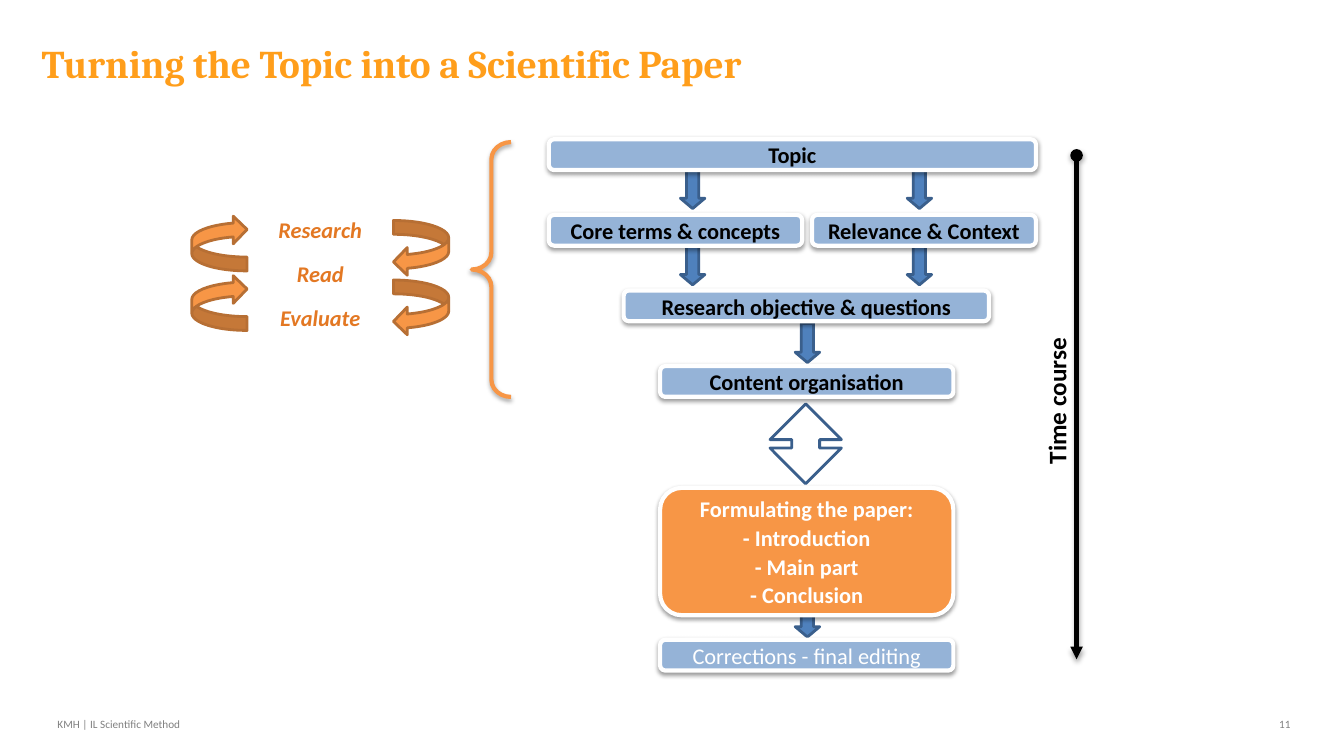
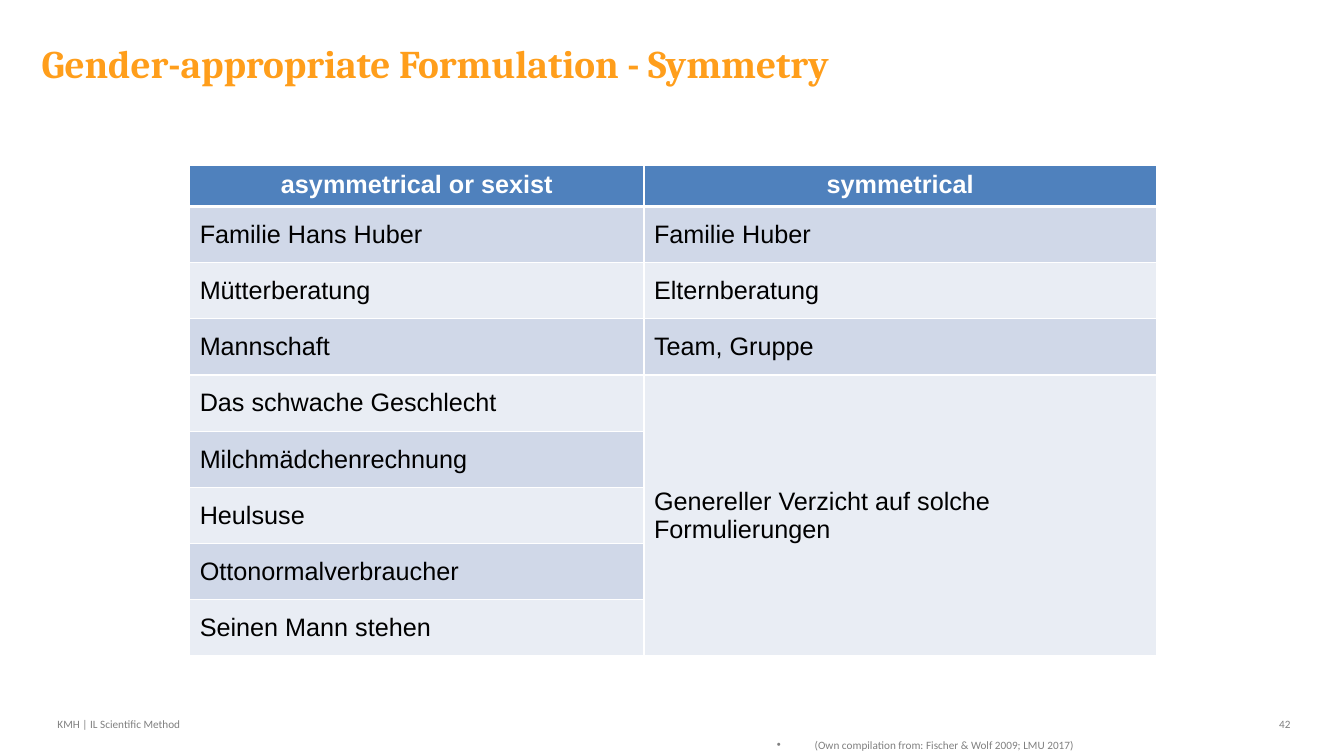
from dataclasses import dataclass

from lxml import etree
from pptx import Presentation
from pptx.dml.color import RGBColor
from pptx.enum.shapes import MSO_CONNECTOR, MSO_SHAPE
from pptx.enum.text import MSO_ANCHOR, MSO_AUTO_SIZE, PP_ALIGN
from pptx.oxml.ns import qn
from pptx.util import Pt

LEFT, CENTER, RIGHT = PP_ALIGN.LEFT, PP_ALIGN.CENTER, PP_ALIGN.RIGHT
TOP, MIDDLE = MSO_ANCHOR.TOP, MSO_ANCHOR.MIDDLE
NO_AUTOFIT = MSO_AUTO_SIZE.NONE
ROUNDED, BRACE = MSO_SHAPE.ROUNDED_RECTANGLE, MSO_SHAPE.LEFT_BRACE
DOWN, UP_DOWN = MSO_SHAPE.DOWN_ARROW, MSO_SHAPE.UP_DOWN_ARROW
CURVED = MSO_SHAPE.CURVED_DOWN_ARROW
STRAIGHT = MSO_CONNECTOR.STRAIGHT
TITLE_AND_CONTENT, TITLE_ONLY = 1, 5


@dataclass(frozen=True)
class Theme:
    """Colours, fonts and type sizes of the deck."""
    title: str = "FF9E1B"
    orange: str = "F79646"
    orange_edge: str = "B76F34"
    orange_text: str = "E37823"
    blue: str = "4F81BD"
    blue_edge: str = "3A5F8C"
    light_blue: str = "95B3D7"
    bands: tuple = ("D0D8E8", "E9EDF4")
    white: str = "FFFFFF"
    black: str = "000000"
    gray: str = "808080"
    title_font: str = "Cambria"
    body_font: str = "Calibri"
    table_font: str = "Arial"
    title_size: int = 28
    label_size: int = 18
    box_size: int = 16
    small_size: int = 8


def points(*lengths):
    """Turn numbers into point lengths."""
    return [Pt(n) for n in lengths]


class Deck:
    """Presentation with one style and a current slide."""

    def __init__(self, theme):
        """Open a blank wide presentation."""
        self.theme = theme
        self.prs = Presentation()
        self.prs.slide_width, self.prs.slide_height = points(960, 540)
        self.s = None

    def set_text(self, tf, text, size, color, font=None, bold=False, italic=False,
                 align=LEFT, anchor=TOP, gap=0, line=1.0):
        """Fill a text frame and format its paragraphs and runs."""
        tf.word_wrap = True
        tf.auto_size = NO_AUTOFIT
        tf.vertical_anchor = anchor
        tf.text = text
        for i, p in enumerate(tf.paragraphs):
            p.alignment = align
            p.line_spacing = line
            p.space_before = Pt(gap if i else 0)
            for r in p.runs:
                r.font.name = font or self.theme.body_font
                r.font.size = Pt(size)
                r.font.bold = bold
                r.font.italic = italic
                r.font.color.rgb = RGBColor.from_string(color)

    def slide(self, layout, title, number):
        """Start a slide with its title and footer."""
        t = self.theme
        self.s = self.prs.slides.add_slide(self.prs.slide_layouts[layout])
        sp = self.s.shapes.title
        self.place(sp, 22.5, 24.5, 875, 36)
        self.set_text(sp.text_frame, title, t.title_size, t.title,
                      t.title_font, bold=True)
        self.text("KMH | IL Scientific Method", 34, 508.5, 287.5, 17.5,
                  t.small_size, t.gray)
        self.text(str(number), 888.5, 508.5, 40.5, 17.5,
                  t.small_size, t.gray, align=RIGHT)

    def place(self, sp, x, y, w, h):
        """Move and size a shape."""
        sp.left, sp.top, sp.width, sp.height = points(x, y, w, h)

    def text(self, text, x, y, w, h, size, color, rotation=0, **style):
        """Add a text box."""
        sp = self.s.shapes.add_textbox(*points(x, y, w, h))
        sp.rotation = rotation
        self.set_text(sp.text_frame, text, size, color, **style)

    def source(self, text, x, y, w, h):
        """Use the body placeholder for a source line."""
        sp = self.s.placeholders[1]
        self.place(sp, x, y, w, h)
        pPr = sp.text_frame.paragraphs[0]._p.get_or_add_pPr()
        pPr.set("marL", "0")
        pPr.set("indent", "0")
        etree.SubElement(pPr, qn("a:buNone"))
        self.set_text(sp.text_frame, text, self.theme.small_size,
                      self.theme.gray, align=RIGHT, anchor=MIDDLE)

    def shade(self, effects, alpha, distance):
        """Add a soft shadow below to an effect list."""
        shadow = etree.SubElement(effects, qn("a:outerShdw"), {
            "blurRad": str(Pt(3.1)), "dist": str(Pt(distance)),
            "dir": "5400000", "rotWithShape": "0"})
        color = etree.SubElement(shadow, qn("a:srgbClr"), val=self.theme.black)
        etree.SubElement(color, qn("a:alpha"), val=str(alpha * 1000))

    def shape(self, kind, x, y, w, h, fill, edge, width=2, adjust=(), rotation=0):
        """Add a preset shape."""
        sp = self.s.shapes.add_shape(kind, *points(x, y, w, h))
        sp.shadow.inherit = False
        sp.rotation = rotation
        for i, value in enumerate(adjust):
            sp.adjustments[i] = value
        if fill:
            sp.fill.solid()
            sp.fill.fore_color.rgb = RGBColor.from_string(fill)
        else:
            sp.fill.background()
        sp.line.color.rgb = RGBColor.from_string(edge)
        sp.line.width = Pt(width)
        return sp

    def box(self, text, x, y, w, h=22, fill=None, color=None, bold=True):
        """Add a rounded box with a shadow and centred text."""
        t = self.theme
        sp = self.shape(ROUNDED, x, y, w, h, fill or t.light_blue, t.white, 3,
                        (0.17,))
        self.shade(sp._element.spPr.find(qn("a:effectLst")), 38, 1.6)
        tf = sp.text_frame
        tf.margin_top, tf.margin_bottom = points(3, 0)
        self.set_text(tf, text, t.box_size, color or t.black, bold=bold,
                      align=CENTER, anchor=MIDDLE, gap=3.2, line=0.9)

    def arrow(self, x, y, h=28):
        """Add a block arrow pointing down."""
        self.shape(DOWN, x, y, 17.5, h, self.theme.blue, self.theme.blue_edge,
                   adjust=(0.5, 0.42))

    def cycle_arrow(self, x, y, rotation):
        """Add a curved arrow of the research cycle."""
        self.shape(CURVED, x, y, 39.5, 39.5, self.theme.orange,
                   self.theme.orange_edge, rotation=rotation)

    def brace(self, x, y, w, h):
        """Add a left brace with a shadow."""
        sp = self.shape(BRACE, x, y, w, h, None, self.theme.orange, 3, (0.44, 0.5))
        self.shade(sp._element.spPr.find(qn("a:effectLst")), 35, 1.8)

    def timeline(self, x, top, bottom):
        """Add a vertical line from a dot to an arrowhead."""
        c = self.s.shapes.add_connector(STRAIGHT, *points(x, top, x, bottom))
        c.line.color.rgb = RGBColor.from_string(self.theme.black)
        c.line.width = Pt(3)
        spPr = c._element.spPr
        ln = spPr.find(qn("a:ln"))
        etree.SubElement(ln, qn("a:headEnd"), type="oval")
        etree.SubElement(ln, qn("a:tailEnd"), type="triangle")
        self.shade(etree.SubElement(spPr, qn("a:effectLst")), 35, 1.8)

    def border(self, cell, **widths):
        """Draw white cell borders of the given widths."""
        tcPr = cell._tc.get_or_add_tcPr()
        for side in ("L", "R", "T", "B"):
            ln = etree.SubElement(tcPr, qn(f"a:ln{side}"),
                                  w=str(Pt(widths.get(side, 1))))
            fill = etree.SubElement(ln, qn("a:solidFill"))
            etree.SubElement(fill, qn("a:srgbClr"), val=self.theme.white)

    def table(self, rows, x, y, widths, heights):
        """Add a banded table with a header row."""
        t = self.theme
        table = self.s.shapes.add_table(
            len(rows), len(widths),
            *points(x, y, sum(widths), sum(heights))).table
        for column, width in zip(table.columns, widths):
            column.width = Pt(width)
        for i, (values, height) in enumerate(zip(rows, heights)):
            table.rows[i].height = Pt(height)
            head = i == 0
            for j in range(len(widths)):
                cell = table.cell(i, j)
                self.border(cell, T=3 if i == 1 else 1, B=3 if head else 1)
                cell.fill.solid()
                cell.fill.fore_color.rgb = RGBColor.from_string(
                    t.blue if head else t.bands[(i - 1) % 2])
                if j < len(values):
                    self.set_text(cell.text_frame, values[j], t.label_size,
                                  t.white if head else t.black, t.table_font,
                                  bold=head, align=CENTER if head else LEFT)
                cell.vertical_anchor = TOP if head else MIDDLE
        return table


def topic_slide(deck):
    """Build the flow from topic to paper."""
    t = deck.theme
    deck.slide(TITLE_ONLY, "Turning the Topic into a Scientific Paper", 11)
    deck.brace(337, 101.5, 28, 182)
    for x in (486, 648):
        deck.arrow(x, 116, 33)
        deck.arrow(x, 175.5)
    for y in (231, 427):
        deck.arrow(568, y)
    deck.shape(UP_DOWN, 550, 288.5, 51, 57, None, t.blue_edge, adjust=(0.5, 0.39))
    steps = [
        ("Topic", 392, 0, 348),
        ("Core terms & concepts", 392, 1, 181),
        ("Relevance & Context", 580, 1, 160),
        ("Research objective & questions", 445.5, 2, 261),
        ("Content organisation", 471.5, 3, 209.5),
    ]
    for text, x, row, w in steps:
        deck.box(text, x, 99.5 + 54 * row, w)
    deck.box("Formulating the paper:\n- Introduction\n- Main part\n- Conclusion",
             471.5, 348.5, 209.5, 91, t.orange, t.white)
    deck.box("Corrections - final editing", 471.5, 457, 209.5,
             color=t.white, bold=False)
    deck.timeline(769, 111, 471)
    deck.text("Time course", 582, 272, 345.5, 29, t.label_size, t.black,
              rotation=270, bold=True, align=CENTER)
    deck.text("Research\nRead\nEvaluate", 170, 150.5, 117.5, 90.5, t.box_size,
              t.orange_text, bold=True, italic=True, align=CENTER, gap=12.5)
    for x, y, rotation in ((281, 157.5, 90), (137, 154, 270)):
        for row in range(2):
            deck.cycle_arrow(x, y + 42.5 * row, rotation)


def symmetry_slide(deck):
    """Build the table of gendered wordings."""
    deck.slide(TITLE_AND_CONTENT, "Gender-appropriate Formulation - Symmetry", 42)
    rows = [
        ("asymmetrical or sexist", "symmetrical"),
        ("Familie Hans Huber", "Familie Huber"),
        ("Mütterberatung", "Elternberatung"),
        ("Mannschaft", "Team, Gruppe"),
        ("Das schwache Geschlecht", "Genereller Verzicht auf solche Formulierungen"),
        ("Milchmädchenrechnung",),
        ("Heulsuse",),
        ("Ottonormalverbraucher",),
        ("Seinen Mann stehen",),
    ]
    table = deck.table(rows, 135.5, 118, (324.5, 366), [29.5] + [40.15] * 8)
    table.cell(4, 1).merge(table.cell(8, 1))
    deck.source("(Own compilation from: Fischer & Wolf 2009; LMU 2017)",
                468.5, 524, 306, 16)


def main():
    """Build and save the deck."""
    deck = Deck(Theme())
    topic_slide(deck)
    symmetry_slide(deck)
    deck.prs.save("out.pptx")


if __name__ == "__main__":
    main()
